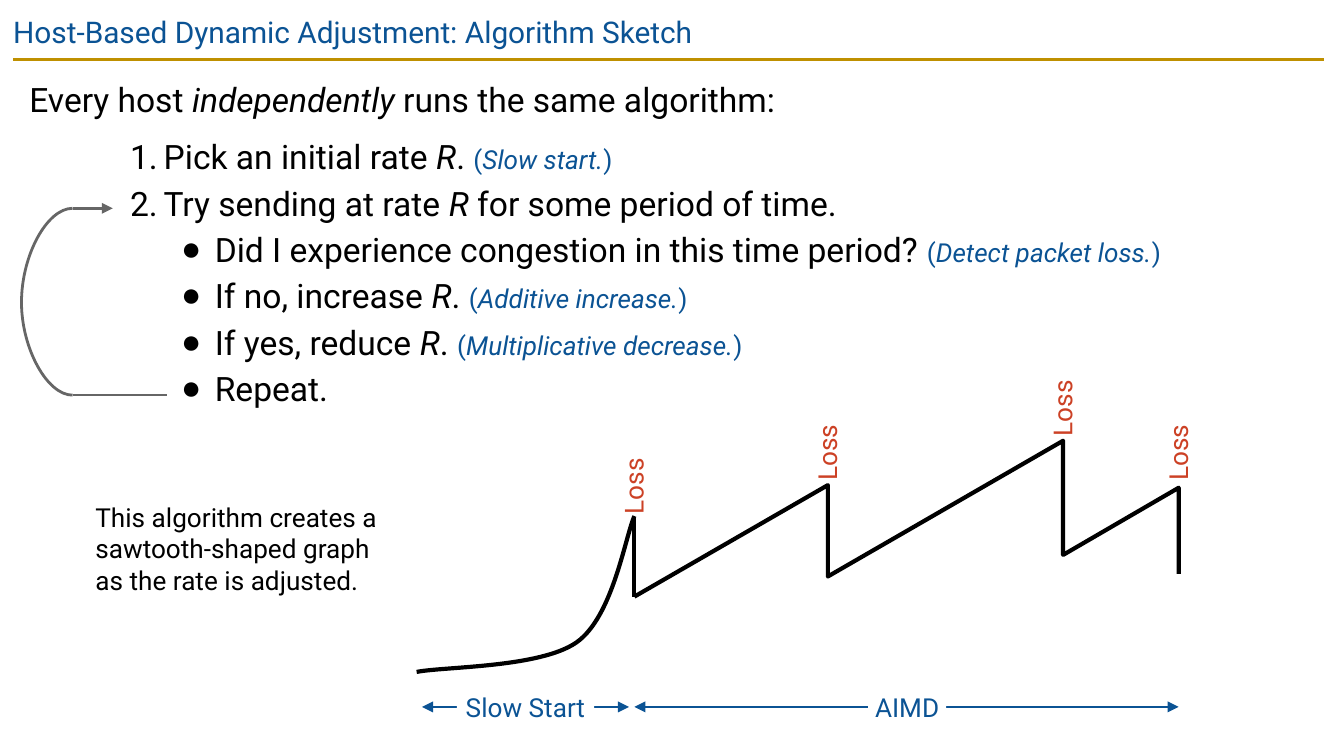
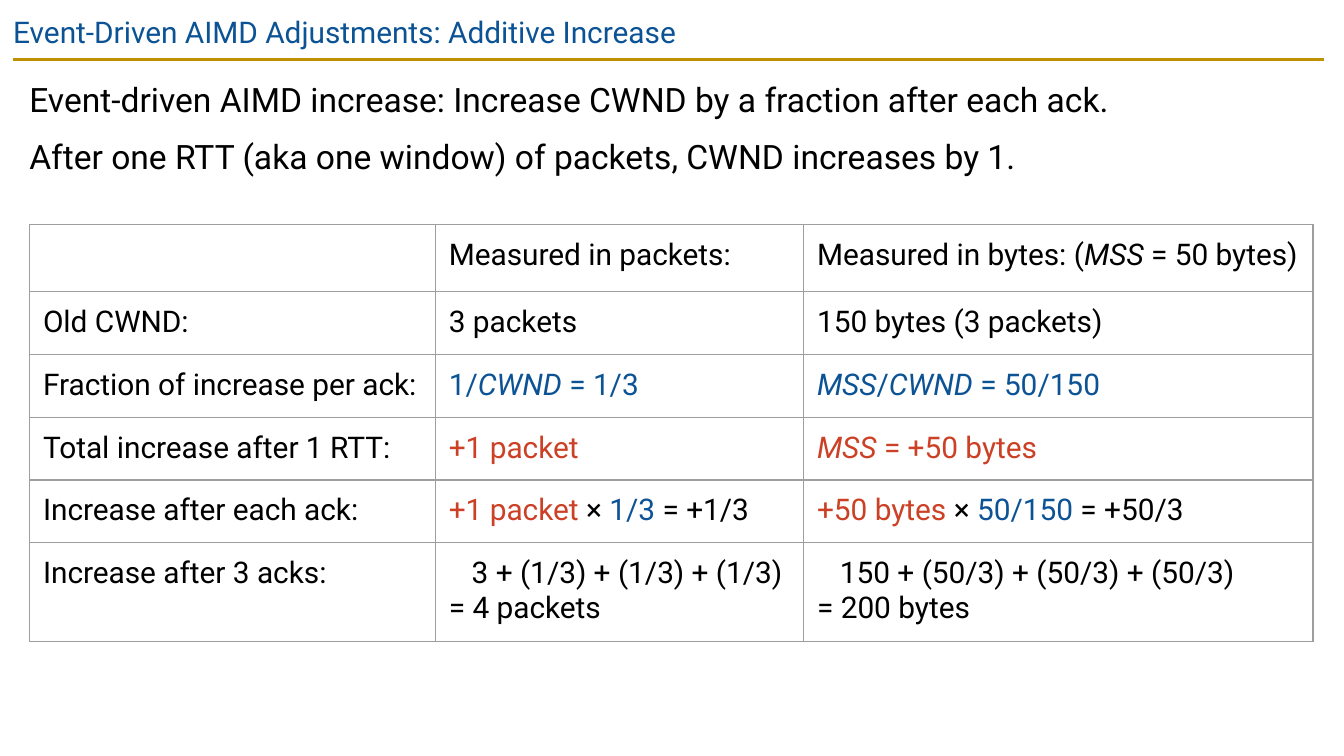
from pptx import Presentation
from pptx.dml.color import RGBColor
from pptx.enum.shapes import MSO_CONNECTOR as Connector, MSO_SHAPE as Shape
from pptx.enum.text import PP_ALIGN as Align
from pptx.oxml.ns import qn
from pptx.oxml.xmlchemy import OxmlElement
from pptx.util import Inches, Pt

BLACK = RGBColor(0x00, 0x00, 0x00)
WHITE = RGBColor(0xFF, 0xFF, 0xFF)
BLUE = RGBColor(0x0B, 0x53, 0x94)
RED = RGBColor(0xCC, 0x41, 0x25)
GOLD = RGBColor(0xBF, 0x90, 0x00)
GRAY = RGBColor(0x66, 0x66, 0x66)
BORDER = RGBColor(0x9E, 0x9E, 0x9E)
FONT = "Roboto"
BULLET_FONT = "Arial"


def write(paragraph, text, size=14, color=BLACK):
    """Append text to a paragraph; parts between asterisks are italic."""
    for index, part in enumerate(text.split("*")):
        for line_index, line in enumerate(part.split("\n")):
            if line_index:
                paragraph.add_line_break()
            if not line:
                continue
            run = paragraph.add_run()
            run.text = line
            run.font.name = FONT
            run.font.size = Pt(size)
            run.font.color.rgb = color
            run.font.italic = index % 2 == 1


def add_xml(parent, tag, **attributes):
    element = OxmlElement(tag)
    for name, value in attributes.items():
        element.set(name, str(value))
    parent.append(element)
    return element


def set_indent(paragraph, left, first):
    properties = paragraph._p.get_or_add_pPr()
    properties.set("marL", str(Inches(left)))
    properties.set("indent", str(Inches(first)))
    return properties


class Deck:
    def __init__(self):
        self.presentation = Presentation()
        width = Inches(10)
        self.presentation.slide_width = width
        self.presentation.slide_height = width * 9 // 16
        self.shapes = None

    def new_slide(self, title):
        """Start a slide with its title and the gold rule."""
        layout = self.presentation.slide_layouts[6]
        slide = self.presentation.slides.add_slide(layout)
        slide.background.fill.solid()
        slide.background.fill.fore_color.rgb = WHITE
        self.shapes = slide.shapes
        self.line((0.1, 0.44), (9.85, 0.44), GOLD, 1.5)
        frame = self.frame(0, 0, 9.32, 0.43, inset=0.1)
        write(frame.paragraphs[0], title, size=16, color=BLUE)

    def prepare(self, frame, inset):
        frame.word_wrap = True
        frame.margin_left = frame.margin_right = Inches(inset)
        frame.margin_top = frame.margin_bottom = Inches(inset)
        return frame

    def frame(self, left, top, width, height, inset=0, rotation=0):
        box = self.shapes.add_textbox(
            Inches(left), Inches(top), Inches(width), Inches(height))
        box.rotation = rotation
        return self.prepare(box.text_frame, inset)

    def label(self, left, top, width, height, text, color=BLACK, rotation=0):
        frame = self.frame(left, top, width, height, rotation=rotation)
        write(frame.paragraphs[0], text, color=color)

    def body(self, height, items):
        """Each item is (kind, text, hint); kind is plain, number or bullet."""
        frame = self.frame(0.12, 0.44, 9.74, height, inset=0.1)
        previous = None
        for kind, text, hint in items:
            first = previous is None
            paragraph = frame.paragraphs[0] if first else frame.add_paragraph()
            paragraph.line_spacing = 1.15
            after_plain = previous == "plain"
            paragraph.space_before = Pt(6 if after_plain else 0)
            if kind != "plain":
                self.bullet(paragraph, kind)
            write(paragraph, text, size=18)
            if hint:
                write(paragraph, f"(*{hint}*)", size=14, color=BLUE)
            previous = kind

    def bullet(self, paragraph, kind):
        numbered = kind == "number"
        if not numbered:
            paragraph.level = 1
        properties = set_indent(paragraph, 1 if numbered else 1.38, -0.25)
        color = add_xml(properties, "a:buClr")
        add_xml(color, "a:srgbClr", val=BLACK)
        add_xml(properties, "a:buSzPct", val=100000)
        if numbered:
            add_xml(properties, "a:buFont", typeface=FONT)
            add_xml(properties, "a:buAutoNum", type="arabicPeriod")
        else:
            add_xml(properties, "a:buFont", typeface=BULLET_FONT)
            add_xml(properties, "a:buChar", char="●")
        paragraph.font.name = FONT
        paragraph.font.size = Pt(18)

    def line(self, start, end, color, width, head=False, tail=False):
        points = [Inches(value) for value in (*start, *end)]
        connector = self.shapes.add_connector(Connector.STRAIGHT, *points)
        connector.line.color.rgb = color
        connector.line.width = Pt(width)
        outline = connector.line._get_or_add_ln()
        if head:
            add_xml(outline, "a:headEnd", type="triangle")
        if tail:
            add_xml(outline, "a:tailEnd", type="triangle")
        add_xml(connector._element.spPr, "a:effectLst")

    def outline(self, points, color, width, curved=False):
        """Draw an open outline; if curved, points after the first form
        cubic segments of two control points and an end point."""
        start, *rest = [(Inches(x), Inches(y)) for x, y in points]
        builder = self.shapes.build_freeform(*start)
        builder.add_line_segments(rest, close=False)
        shape = builder.convert_to_shape()
        shape.shadow.inherit = False
        shape.fill.background()
        shape.line.color.rgb = color
        shape.line.width = Pt(width)
        if curved:
            drawing = shape._element.find(".//" + qn("a:path"))
            segments = drawing.findall(qn("a:lnTo"))
            for index in range(0, len(segments), 3):
                curve = add_xml(drawing, "a:cubicBezTo")
                for segment in segments[index:index + 3]:
                    curve.append(segment[0])
                    drawing.remove(segment)

    def span(self, start, end, y, text, label_left, label_width):
        """A two-headed arrow with a label over it."""
        self.line((start, y), (end, y), BLUE, 0.75, head=True, tail=True)
        shape = self.shapes.add_shape(
            Shape.RECTANGLE, Inches(label_left), Inches(y - 0.12),
            Inches(label_width), Inches(0.24))
        shape.shadow.inherit = False
        shape.fill.solid()
        shape.fill.fore_color.rgb = WHITE
        shape.line.fill.background()
        paragraph = self.prepare(shape.text_frame, 0).paragraphs[0]
        paragraph.alignment = Align.CENTER
        write(paragraph, text, color=BLUE)

    def table(self, left, top, widths, row_height, rows):
        """Each cell is a list of (text, colour) pieces."""
        table = self.shapes.add_table(
            len(rows), len(widths), Inches(left), Inches(top),
            Inches(sum(widths)), Inches(row_height * len(rows))).table
        table.first_row = table.horz_banding = False
        for column, width in zip(table.columns, widths):
            column.width = Inches(width)
        for row, contents in zip(table.rows, rows):
            row.height = Inches(row_height)
            for cell, pieces in zip(row.cells, contents):
                self.cell(cell, pieces)

    def cell(self, cell, pieces):
        cell.margin_left = cell.margin_right = Inches(0.1)
        cell.margin_top = cell.margin_bottom = Inches(0.1)
        properties = cell._tc.get_or_add_tcPr()
        for side in ("a:lnL", "a:lnR", "a:lnT", "a:lnB"):
            border = add_xml(properties, side, w=Pt(0.75))
            fill = add_xml(border, "a:solidFill")
            add_xml(fill, "a:srgbClr", val=BORDER)
        cell.fill.background()
        paragraph = cell.text_frame.paragraphs[0]
        for text, color in pieces:
            if "\n" in text:
                set_indent(paragraph, 0, 0.17)
            write(paragraph, text, size=16, color=color)


def algorithm_slide(deck):
    deck.new_slide("Host-Based Dynamic Adjustment: Algorithm Sketch")
    deck.body(2.87, [
        ("plain", "Every host *independently* runs the same algorithm:", ""),
        ("number", "Pick an initial rate *R*. ", "Slow start."),
        ("number", "Try sending at rate *R* for some period of time.", ""),
        ("bullet", "Did I experience congestion in this time period? ",
         "Detect packet loss."),
        ("bullet", "If no, increase *R*. ", "Additive increase."),
        ("bullet", "If yes, reduce *R*. ", "Multiplicative decrease."),
        ("bullet", "Repeat.", ""),
    ])

    # Loop from "Repeat" back to step 2
    loop_x, step_y, repeat_y = 0.54, 1.55, 2.94
    deck.line((loop_x, repeat_y), (1.24, repeat_y), GRAY, 1.5)
    deck.line((loop_x, step_y), (0.84, step_y), GRAY, 1.5, tail=True)
    deck.outline([(loop_x, step_y), (0.35, step_y), (0.16, 1.9), (0.16, 2.25),
                  (0.16, 2.59), (0.35, repeat_y), (loop_x, repeat_y)],
                 GRAY, 1.5, curved=True)

    # Sawtooth graph with a loss at each peak
    peaks = [(4.72, 3.85), (6.16, 3.61), (7.91, 3.28), (8.77, 3.63)]
    valleys = [4.44, 4.29, 4.13, 4.27]
    loss_tops = [3.45, 3.2, 2.87, 3.2]
    for (x, _), top in zip(peaks, loss_tops):
        deck.label(x - 0.26, top, 0.51, 0.24, "Loss", RED, rotation=270)
    deck.outline([(3.1, 5), (3.3, 4.96), (4.02, 4.97), (4.29, 4.78),
                  (4.56, 4.59), (4.65, 4), (4.72, 3.84)],
                 BLACK, 2.25, curved=True)
    first_x, first_y = peaks[0]
    deck.line((first_x, first_y), (first_x, valleys[0]), BLACK, 2.25)
    teeth = [(first_x, valleys[0])]
    for peak, valley in zip(peaks[1:], valleys[1:]):
        teeth += [peak, (peak[0], valley)]
    deck.outline(teeth, BLACK, 2.25)

    # Phases and caption
    deck.span(3.14, 4.68, 5.26, "Slow Start", 3.4, 1.02)
    deck.span(4.72, 8.77, 5.26, "AIMD", 6.46, 0.58)
    deck.label(0.71, 3.73, 2.2, 0.71, "This algorithm creates a "
               "sawtooth-shaped graph as the rate is adjusted.")


def increase_slide(deck):
    deck.new_slide("Event-Driven AIMD Adjustments: Additive Increase")
    deck.body(1.16, [
        ("plain", "Event-driven AIMD increase: Increase CWND by a fraction "
         "after each ack.", ""),
        ("plain", "After one RTT (aka one window) of packets, CWND increases "
         "by 1.", ""),
    ])

    # Packets and bytes side by side
    def plain(text):
        return [(text, BLACK)]

    def product(total, fraction, result):
        return [(total, RED), (" × ", BLACK), (fraction, BLUE),
                (f" = {result}", BLACK)]

    rows = [
        [[], plain("Measured in packets:"),
         plain("Measured in bytes: (*MSS* = 50 bytes)")],
        [plain("Old CWND:"), plain("3 packets"),
         plain("150 bytes (3 packets)")],
        [plain("Fraction of increase per ack:"), [("1/*CWND* = 1/3", BLUE)],
         [("*MSS*/*CWND* = 50/150", BLUE)]],
        [plain("Total increase after 1 RTT:"), [("+1 packet", RED)],
         [("*MSS* = +50 bytes", RED)]],
        [plain("Increase after each ack:"),
         product("+1 packet", "1/3", "+1/3"),
         product("+50 bytes", "50/150", "+50/3")],
        [plain("Increase after 3 acks:"),
         plain("3 + (1/3) + (1/3) + (1/3)\n= 4 packets"),
         plain("150 + (50/3) + (50/3) + (50/3)\n= 200 bytes")],
    ]
    deck.table(0.22, 1.67, [3.02, 2.74, 3.79], 0.42, rows)


def main():
    deck = Deck()
    algorithm_slide(deck)
    increase_slide(deck)
    deck.presentation.save("out.pptx")


if __name__ == "__main__":
    main()
